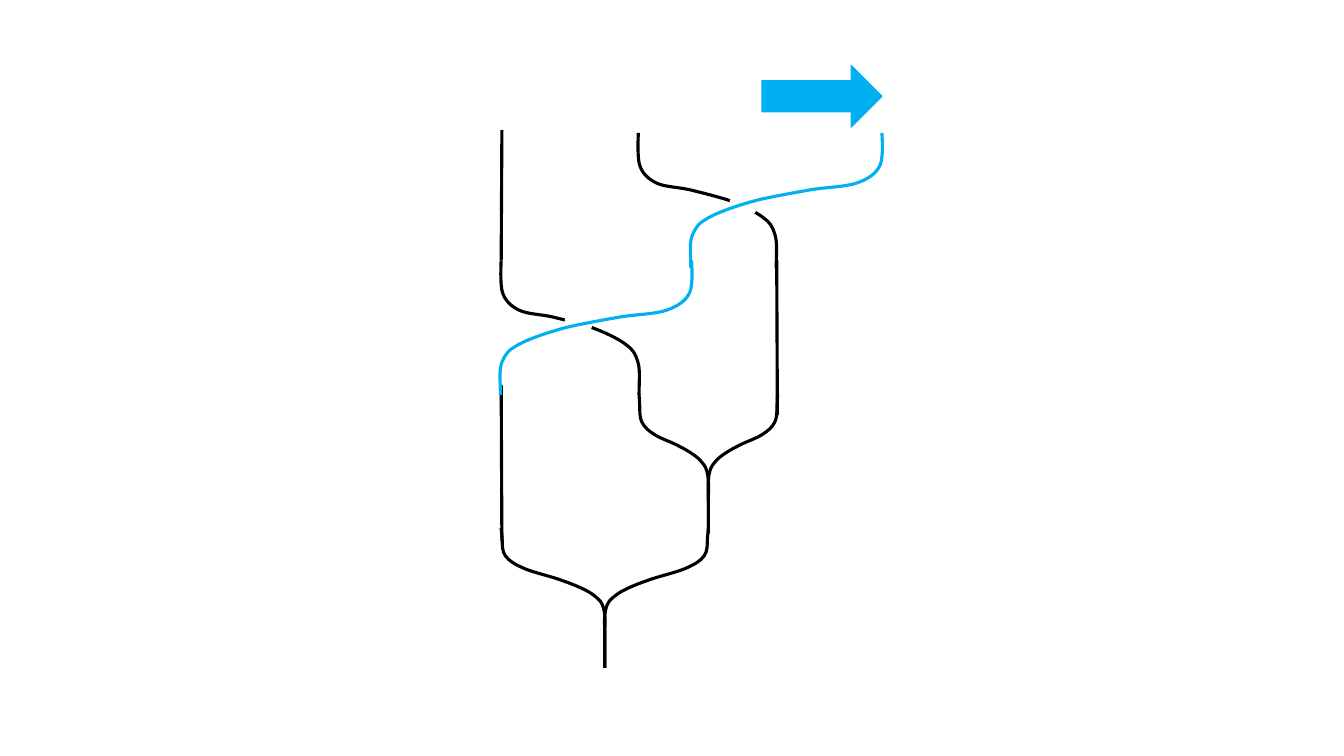
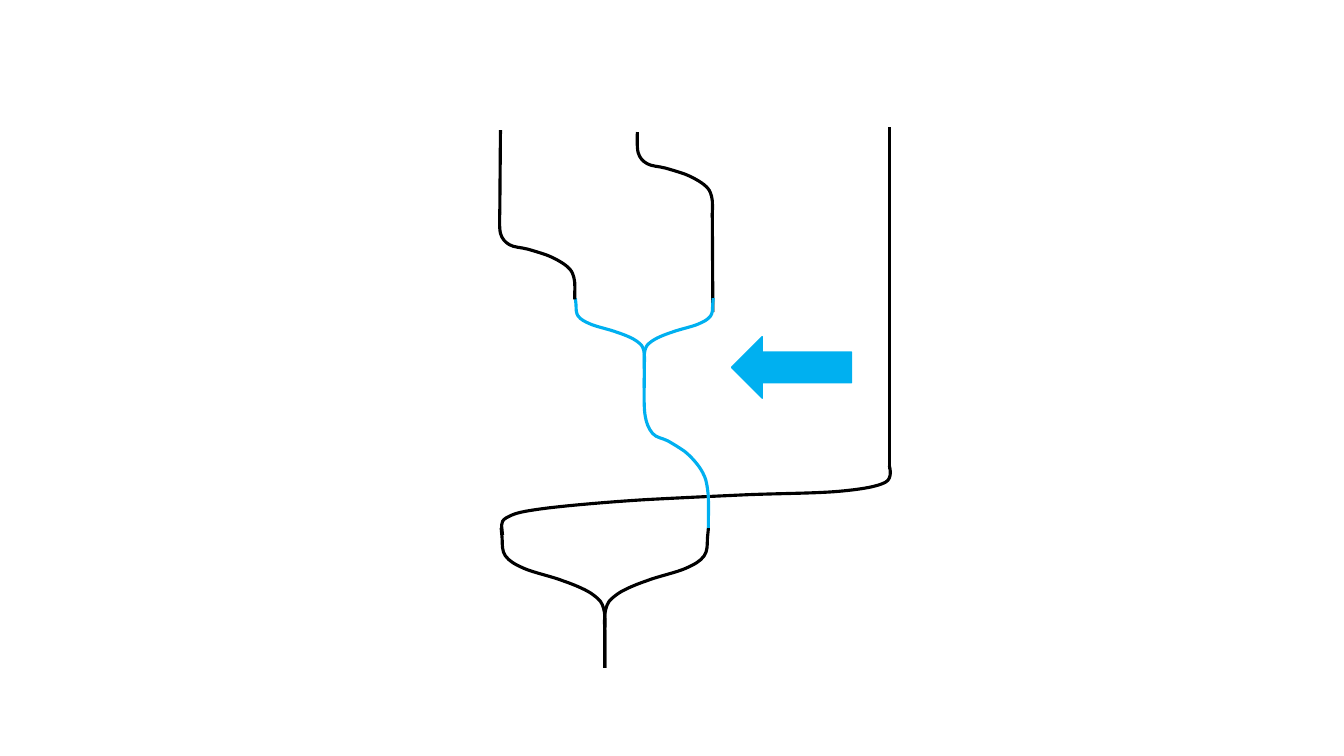
"""Draw two braided tree diagrams, each with one highlighted strand."""
import dataclasses

import lxml.etree
import pptx
import pptx.dml.color
import pptx.enum.shapes
import pptx.oxml.ns
import pptx.util

Pt = pptx.util.Pt
RGB = pptx.dml.color.RGBColor
SHAPES = pptx.enum.shapes.MSO_SHAPE
qn = pptx.oxml.ns.qn


@dataclasses.dataclass(frozen=True)
class Theme:
    """Colours and line widths of both slides."""
    strand: RGB = RGB.from_string("000000")
    highlight: RGB = RGB.from_string("00B0F0")
    paper: RGB = RGB.from_string("FFFFFF")
    strand_width: float = 2.25
    arrow_outline: float = 1


THEME = Theme()

BEND = (
    (0, 0),
    (0, 0.01), (-0.01, 0.18), (0.01, 0.24),
    (0.03, 0.3), (0.07, 0.34), (0.13, 0.37),
    (0.19, 0.4), (0.28, 0.4), (0.37, 0.42),
    (0.45, 0.44), (0.53, 0.46), (0.63, 0.49),
    (0.72, 0.52), (0.85, 0.58), (0.91, 0.63),
    (0.96, 0.67), (0.97, 0.69), (0.99, 0.75),
    (1.01, 0.81), (1, 0.9), (1, 1),
)
BRANCH = (
    (0, 0),
    (0, 0.01), (0.01, 0.07), (0.01, 0.09),
    (0.01, 0.12), (0.01, 0.17), (0.04, 0.2),
    (0.08, 0.24), (0.13, 0.26), (0.22, 0.29),
    (0.31, 0.32), (0.5, 0.35), (0.6, 0.38),
    (0.72, 0.41), (0.84, 0.45), (0.89, 0.48),
    (0.96, 0.52), (0.97, 0.53), (0.99, 0.58),
    (1.01, 0.64), (1, 0.69), (1, 0.79),
    (1, 0.9), (1, 1), (1, 1),
)


def style_line(line, color, width=THEME.strand_width):
    """Set the colour and width of a line."""
    line.color.rgb = color
    line.width = Pt(width)


def add_curve(slide, profile, top, bottom, color=THEME.strand):
    """Draw a cubic profile stretched from its top point to its bottom point."""
    (x0, y0), (x1, y1) = top, bottom
    points = [(Pt(x0 + u * (x1 - x0)), Pt(y0 + v * (y1 - y0))) for u, v in profile]
    builder = slide.shapes.build_freeform(*points[0])
    builder.add_line_segments(points[1:], close=False)
    curve = builder.convert_to_shape()
    segments = list(curve._element.iter(qn("a:lnTo")))
    for start in range(0, len(segments), 3):
        cubic, *others = segments[start:start + 3]
        cubic.tag = qn("a:cubicBezTo")
        for other in others:
            cubic.append(other[0])
            other.getparent().remove(other)
    curve.fill.background()
    curve.shadow.inherit = False
    style_line(curve.line, color)


def add_fork(slide, left, right, top, bottom, color=THEME.strand):
    """Join two strands into one stem midway between them."""
    stem = ((left + right) / 2, bottom)
    for side in (left, right):
        add_curve(slide, BRANCH, (side, top), stem, color)


def add_strand(slide, top, bottom):
    """Draw a straight strand."""
    strand = slide.shapes.add_connector(
        pptx.enum.shapes.MSO_CONNECTOR.STRAIGHT,
        *(Pt(value) for value in (*top, *bottom)))
    style_line(strand.line, THEME.strand)
    lxml.etree.SubElement(strand._element.spPr, qn("a:effectLst"))


def add_solid(slide, preset, left, top, width, height, color, outline):
    """Draw a preset shape with one colour for fill and outline."""
    solid = slide.shapes.add_shape(preset, Pt(left), Pt(top), Pt(width), Pt(height))
    solid.shadow.inherit = False
    solid.fill.solid()
    solid.fill.fore_color.rgb = color
    style_line(solid.line, color, outline)


def add_gap(slide, left, top):
    """Interrupt a strand where another passes over it."""
    add_solid(slide, SHAPES.OVAL, left, top, 18, 17.5, THEME.paper, THEME.strand_width)


def add_arrow(slide, preset, left, top):
    """Draw a highlighted block arrow."""
    add_solid(slide, preset, left, top, 85.7, 43.9, THEME.highlight, THEME.arrow_outline)


def add_root(slide):
    """Draw the root fork that both trees share."""
    add_fork(slide, 358, 506, 377, 477)


def build_moved_right(slide):
    """Draw the tree whose highlighted strand crosses to the right."""
    add_curve(slide, BEND, (358, 186), (456.5, 282))
    add_gap(slide, 404.5, 221)
    add_curve(slide, BEND, (456, 95), (554.5, 191.5))
    add_gap(slide, 522, 137.5)
    add_strand(slide, (358.5, 93), (358, 186))
    add_root(slide)
    add_fork(slide, 456.5, 555.5, 281.5, 381)
    add_strand(slide, (358, 275), (358.5, 386.5))
    add_strand(slide, (554.8, 186), (555.3, 296.5))
    add_curve(slide, BEND, (494, 186), (357.5, 282), THEME.highlight)
    add_curve(slide, BEND, (630, 95), (493.5, 191.5), THEME.highlight)
    add_arrow(slide, SHAPES.RIGHT_ARROW, 544.3, 46.8)


def build_moved_left(slide):
    """Draw the tree whose highlighted fork sits on the left."""
    add_curve(slide, BEND, (455.3, 94.3), (508.8, 155.5))
    add_strand(slide, (508.8, 152), (509.2, 223))
    add_root(slide)
    add_fork(slide, 411, 509.5, 213, 277, THEME.highlight)
    add_curve(slide, BEND, (357, 152), (410.5, 213.8))
    add_strand(slide, (357.5, 93), (357, 152))
    add_curve(slide, BEND, (635.3, 332.5), (359, 382.3))
    add_arrow(slide, SHAPES.LEFT_ARROW, 522.5, 240.5)
    add_curve(slide, BEND, (460.2, 270), (506, 377), THEME.highlight)
    add_strand(slide, (635.5, 91), (635.5, 335))


def main():
    """Build and save the presentation."""
    deck = pptx.Presentation()
    deck.slide_width, deck.slide_height = Pt(960), Pt(540)
    blank_layout = deck.slide_layouts[6]
    for build in (build_moved_right, build_moved_left):
        build(deck.slides.add_slide(blank_layout))
    deck.save("out.pptx")


if __name__ == "__main__":
    main()
